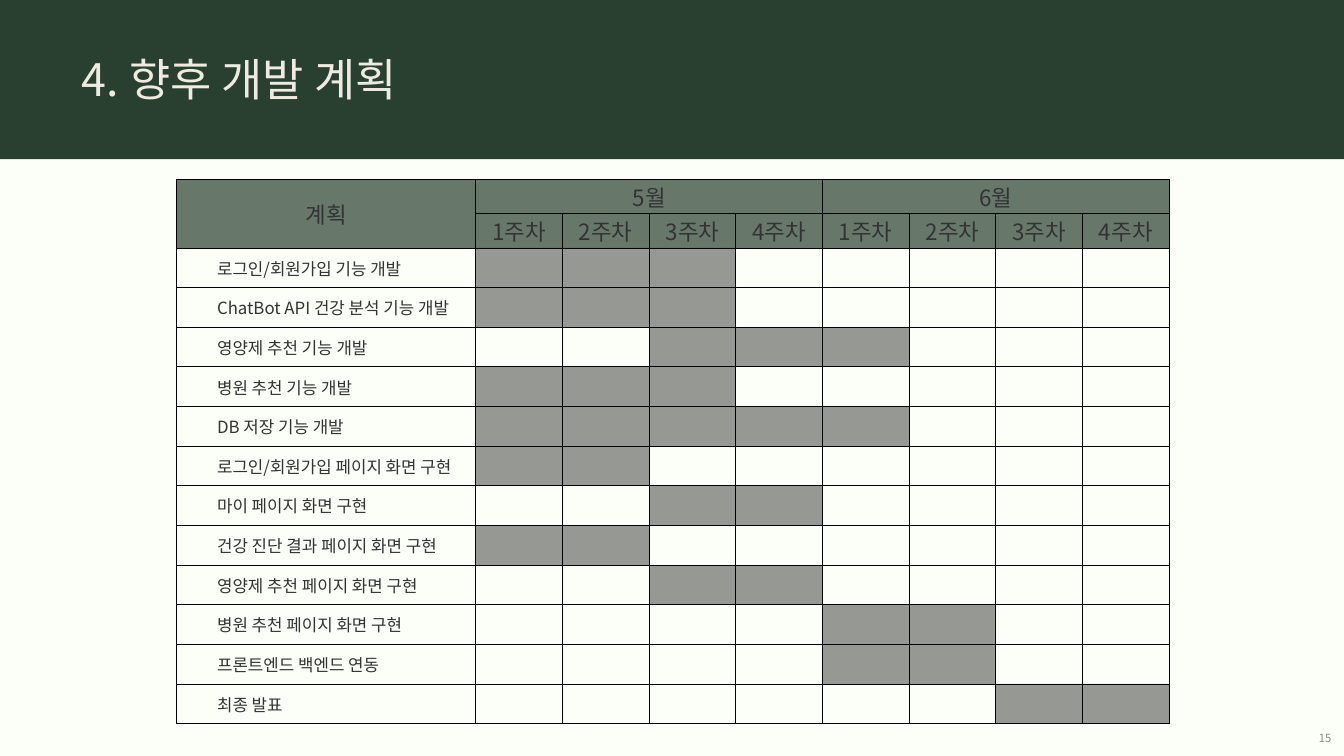
from lxml import etree
from pptx import Presentation
from pptx.dml.color import RGBColor
from pptx.enum import shapes, text
from pptx.oxml import ns
from pptx.util import Inches, Pt

CREAM = RGBColor(0xFB, 0xFF, 0xF7)
GREEN = RGBColor(0x29, 0x3F, 0x30)
IVORY = RGBColor(0xEE, 0xEC, 0xE1)
INK = RGBColor(0x33, 0x33, 0x33)
GREY = RGBColor(0x88, 0x88, 0x88)
BLACK = RGBColor(0, 0, 0)

MONTHS = ["5월", "6월"]
WEEKS = 4
# Task, first week and last week, counted from the first week of May
TASKS = [
    ("로그인/회원가입 기능 개발", 1, 3),
    ("ChatBot API 건강 분석 기능 개발", 1, 3),
    ("영양제 추천 기능 개발", 3, 5),
    ("병원 추천 기능 개발", 1, 3),
    ("DB 저장 기능 개발", 1, 5),
    ("로그인/회원가입 페이지 화면 구현", 1, 2),
    ("마이 페이지 화면 구현", 3, 4),
    ("건강 진단 결과 페이지 화면 구현", 1, 2),
    ("영양제 추천 페이지 화면 구현", 3, 4),
    ("병원 추천 페이지 화면 구현", 5, 6),
    ("프론트엔드 백엔드 연동", 5, 6),
    ("최종 발표", 7, 8),
]


class Deck:
    font = "Noto Sans CJK KR"

    def __init__(self, slide):
        self.slide = slide
        self.slide.background.fill.solid()
        self.slide.background.fill.fore_color.rgb = CREAM

    def set_text(self, frame, words, size, color, align=text.PP_ALIGN.LEFT):
        frame.text = words
        paragraph = frame.paragraphs[0]
        paragraph.alignment = align
        for run in paragraph.runs:
            run.font.size = Pt(size)
            run.font.name = self.font
            run.font.color.rgb = color
            east_asian = etree.SubElement(run._r.get_or_add_rPr(), ns.qn("a:ea"))
            east_asian.set("typeface", self.font)
        return paragraph

    def band(self, left, top, width, height, color):
        band = self.slide.shapes.add_shape(
            shapes.MSO_SHAPE.RECTANGLE,
            Inches(left), Inches(top), Inches(width), Inches(height))
        band.shadow.inherit = False
        band.fill.solid()
        band.fill.fore_color.rgb = color
        band.line.fill.background()

    def text_box(self, box, words, size, color, align=text.PP_ALIGN.LEFT,
                 anchor=text.MSO_ANCHOR.TOP, inset=0.1):
        frame = self.slide.shapes.add_textbox(*map(Inches, box)).text_frame
        frame.word_wrap = True
        frame.vertical_anchor = anchor
        frame.margin_left = Inches(inset)
        self.set_text(frame, words, size, color, align)

    def table(self, left, top, columns, rows):
        table = self.slide.shapes.add_table(
            len(rows), len(columns), Inches(left), Inches(top),
            Inches(sum(columns)), Inches(sum(rows))).table
        table.first_row = table.horz_banding = False
        for column, width in zip(table.columns, columns):
            column.width = Inches(width)
        for row, height in zip(table.rows, rows):
            row.height = Inches(height)
        for cell in table.iter_cells():
            self.border(cell)
            self.fill(cell, CREAM)
        return table

    def border(self, cell):
        properties = cell._tc.get_or_add_tcPr()
        for side in ("a:lnL", "a:lnR", "a:lnT", "a:lnB"):
            line = etree.SubElement(properties, ns.qn(side), w=str(Pt(1)))
            solid = etree.SubElement(line, ns.qn("a:solidFill"))
            etree.SubElement(solid, ns.qn("a:srgbClr"), val=str(BLACK))

    def fill(self, cell, color, opacity=100):
        cell.fill.solid()
        cell.fill.fore_color.rgb = color
        if opacity < 100:
            rgb = cell._tc.tcPr.find(ns.qn("a:solidFill"))[0]
            etree.SubElement(rgb, ns.qn("a:alpha"), val=str(opacity * 1000))

    def header(self, cell, words):
        self.fill(cell, GREEN, 70)
        cell.margin_top = cell.margin_bottom = 0
        cell.vertical_anchor = text.MSO_ANCHOR.MIDDLE
        self.set_text(cell.text_frame, words, 24, INK, text.PP_ALIGN.CENTER)

    def label(self, cell, words):
        cell.margin_right = Inches(0.05)
        cell.vertical_anchor = text.MSO_ANCHOR.MIDDLE
        paragraph = self.set_text(cell.text_frame, words, 18, INK)
        paragraph.level = 1
        indent = paragraph._p.get_or_add_pPr()
        indent.set("marL", str(Inches(0.5)))
        indent.set("indent", "0")


def main():
    prs = Presentation()
    prs.slide_width, prs.slide_height = Inches(20), Inches(11.25)
    deck = Deck(prs.slides.add_slide(prs.slide_layouts[6]))

    # Title band and page number
    deck.band(-0.08, 0, 20.17, 2.37, GREEN)
    deck.text_box((17.58, 10.79, 2.33, 0.4), "15", 12, GREY,
                  text.PP_ALIGN.RIGHT, text.MSO_ANCHOR.MIDDLE)
    deck.text_box((0.97, 0.72, 9.02, 0.91), "4. 향후 개발 계획", 48, IVORY,
                  inset=0.25)

    # Schedule grid
    schedule = deck.table(2.63, 2.67,
                          [4.45] + [1.29] * WEEKS * len(MONTHS),
                          [0.51] * 2 + [0.59] * len(TASKS))

    # Two header rows: months over weeks
    schedule.cell(0, 0).merge(schedule.cell(1, 0))
    deck.header(schedule.cell(0, 0), "계획")
    for index, month in enumerate(MONTHS):
        first = 1 + index * WEEKS
        schedule.cell(0, first).merge(schedule.cell(0, first + WEEKS - 1))
        deck.header(schedule.cell(0, first), month)
        for week in range(WEEKS):
            deck.header(schedule.cell(1, first + week), f"{week + 1}주차")

    # Tasks and their weeks
    for row, (task, start, end) in enumerate(TASKS, 2):
        deck.label(schedule.cell(row, 0), task)
        for week in range(start, end + 1):
            deck.fill(schedule.cell(row, week), INK, 50)

    prs.save("out.pptx")


if __name__ == "__main__":
    main()
